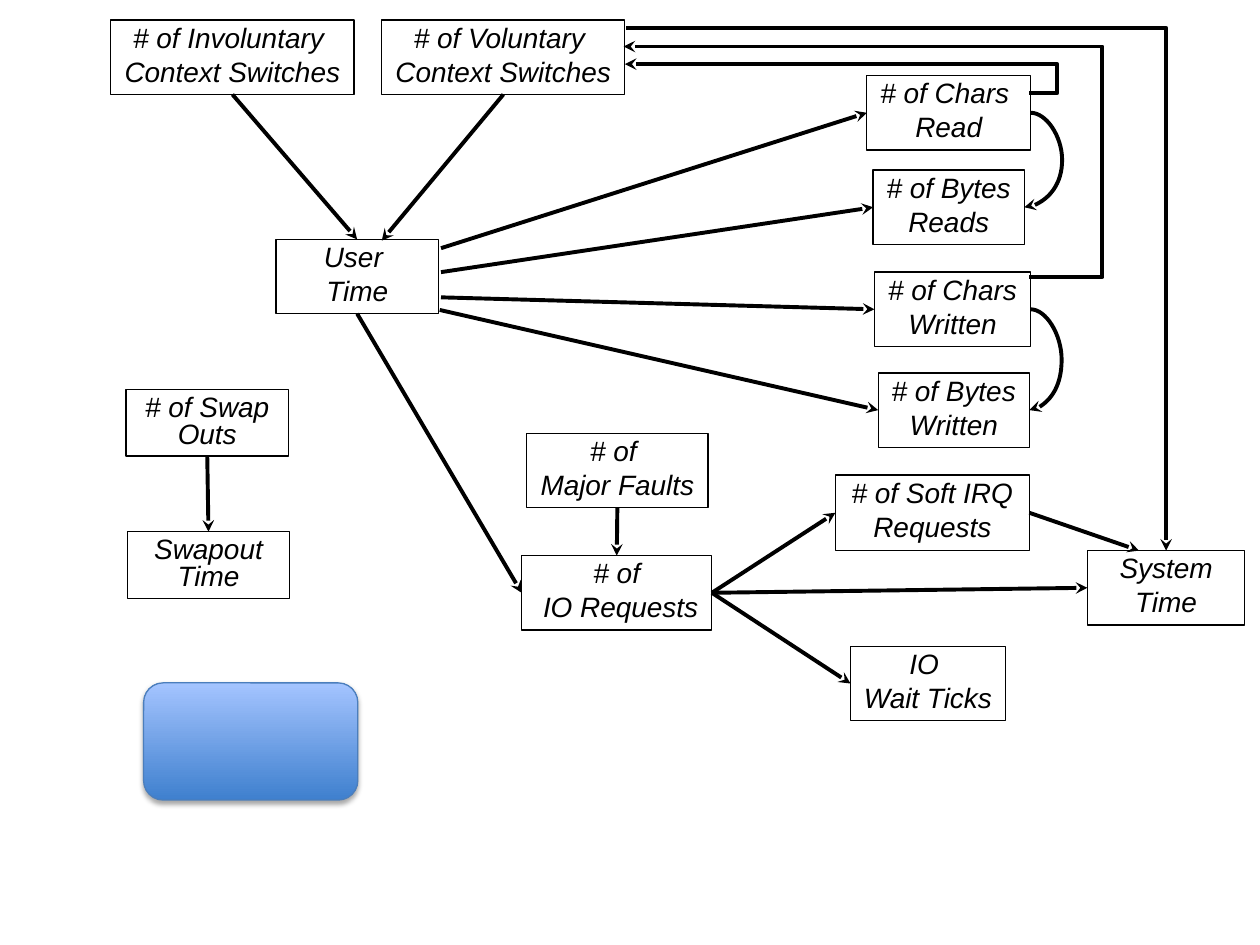
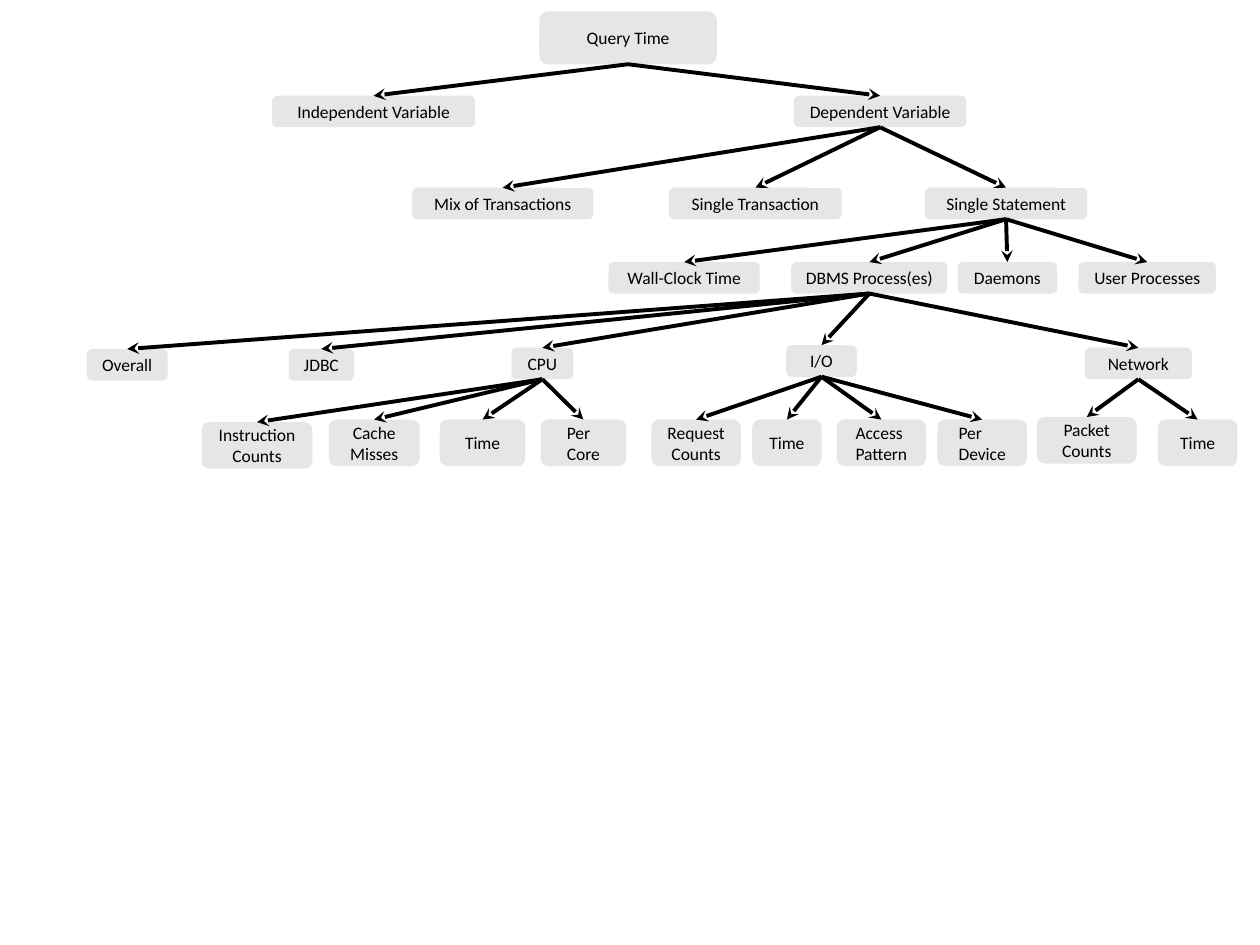
from lxml import etree
from pptx import Presentation
from pptx.dml.color import RGBColor
from pptx.enum.shapes import MSO_CONNECTOR, MSO_SHAPE
from pptx.enum.text import MSO_ANCHOR, PP_ALIGN
from pptx.oxml.ns import qn
from pptx.util import Inches, Pt

STRAIGHT, ELBOW, CURVE = MSO_CONNECTOR.STRAIGHT, MSO_CONNECTOR.ELBOW, MSO_CONNECTOR.CURVE
RECT, ROUNDED = MSO_SHAPE.RECTANGLE, MSO_SHAPE.ROUNDED_RECTANGLE
MIDDLE = MSO_ANCHOR.MIDDLE
CENTER, LEFT_ALIGN = PP_ALIGN.CENTER, PP_ALIGN.LEFT
TOP, LEFT, BOTTOM, RIGHT = range(4)

BLACK = RGBColor(0x00, 0x00, 0x00)
NODE_GREY = RGBColor(0xE6, 0xE6, 0xE6)
PANEL_DARK = RGBColor(0x3F, 0x80, 0xCE)
PANEL_LIGHT = RGBColor(0xA4, 0xC4, 0xFF)
PANEL_LINE = RGBColor(0x4B, 0x7E, 0xBC)

# Causal model: key -> (left, top, width, height, label lines)
METRICS = {
    "involuntary": (0.88, 0.16, 1.93, 0.59, ["# of Involuntary ", "Context Switches"]),
    "voluntary": (3.03, 0.16, 1.93, 0.59, ["# of Voluntary ", "Context Switches"]),
    "user": (2.19, 1.9, 1.29, 0.59, ["User ", "Time"]),
    "chars read": (6.88, 0.6, 1.3, 0.59, ["# of Chars ", "Read"]),
    "bytes read": (6.93, 1.35, 1.2, 0.59, ["# of Bytes", "Reads"]),
    "chars written": (6.94, 2.16, 1.24, 0.59, ["# of Chars", "Written"]),
    "bytes written": (6.97, 2.96, 1.2, 0.59, ["# of Bytes", "Written"]),
    "faults": (4.18, 3.44, 1.44, 0.59, ["# of ", "Major Faults"]),
    "io": (4.14, 4.41, 1.51, 0.59, ["# of", " IO Requests"]),
    "soft irq": (6.63, 3.77, 1.54, 0.6, ["# of Soft IRQ", "Requests"]),
    "wait": (6.75, 5.13, 1.23, 0.59, ["IO ", "Wait Ticks"]),
    "system": (8.63, 4.37, 1.25, 0.59, ["System", "Time"]),
    "swap outs": (1, 3.09, 1.29, 0.53, ["# of Swap Outs"]),
    "swapout time": (1.01, 4.22, 1.29, 0.53, ["Swapout Time"]),
}

# Each end is (metric, side) or a point (x, y)
EFFECTS = [
    (("involuntary", BOTTOM), ("user", TOP)),
    (("voluntary", BOTTOM), (3.03, 1.91)),
    ((3.5, 1.97), ("chars read", LEFT)),
    ((3.5, 2.16), ("bytes read", LEFT)),
    ((3.5, 2.36), ("chars written", LEFT)),
    ((3.49, 2.46), ("bytes written", LEFT)),
    (("user", BOTTOM), ("io", LEFT)),
    (("faults", BOTTOM), ("io", TOP)),
    (("io", RIGHT), ("soft irq", LEFT)),
    (("io", RIGHT), ("system", LEFT)),
    (("io", RIGHT), ("wait", LEFT)),
    (("soft irq", RIGHT), (9.04, 4.37)),
    (("swap outs", BOTTOM), ("swapout time", TOP)),
]

# (kind, begin, end, x of the turn); None means a single corner
ROUTED_EFFECTS = [
    (CURVE, ("chars read", RIGHT), ("bytes read", RIGHT), 8.43),
    (CURVE, ("chars written", RIGHT), ("bytes written", RIGHT), 8.43),
    (ELBOW, (8.17, 2.2), (4.95, 0.37), 8.75),
    (ELBOW, (8.17, 0.74), (4.96, 0.51), 8.39),
    (ELBOW, (4.97, 0.22), ("system", TOP), None),
]

PANEL = (1.14, 5.42, 1.7, 0.93)

# Taxonomy: (height, [(label lines, parent, left, top, width)]) per level
LEVELS = [
    (0.42, [(["Query Time"], None, 4.28, 0.09, 1.41)]),
    (0.25, [
        (["Independent Variable"], "Query Time", 2.16, 0.76, 1.61),
        (["Dependent Variable"], "Query Time", 6.3, 0.76, 1.37),
    ]),
    (0.25, [
        (["Mix of Transactions"], "Dependent Variable", 3.27, 1.49, 1.44),
        (["Single Transaction"], "Dependent Variable", 5.31, 1.49, 1.37),
        (["Single Statement"], "Dependent Variable", 7.34, 1.49, 1.29),
    ]),
    (0.25, [
        (["Wall-Clock Time"], "Single Statement", 4.83, 2.08, 1.2),
        (["DBMS Process(es)"], "Single Statement", 6.28, 2.08, 1.24),
        (["Daemons"], "Single Statement", 7.6, 2.08, 0.79),
        (["User Processes"], "Single Statement", 8.56, 2.08, 1.09),
    ]),
    (0.25, [
        (["Overall"], "DBMS Process(es)", 0.69, 2.77, 0.64),
        (["JDBC"], "DBMS Process(es)", 2.29, 2.77, 0.52),
        (["CPU"], "DBMS Process(es)", 4.06, 2.76, 0.49),
        (["I/O"], "DBMS Process(es)", 6.24, 2.74, 0.56),
        (["Network"], "DBMS Process(es)", 8.61, 2.76, 0.85),
    ]),
    (0.37, [
        (["Instruction", "Counts"], "CPU", 1.6, 3.35, 0.88),
        (["Cache", "Misses"], "CPU", 2.61, 3.33, 0.72),
        (["Time"], "CPU", 3.49, 3.33, 0.68),
        (["Per Core"], "CPU", 4.29, 3.33, 0.68),
        (["Request", "Counts"], "I/O", 5.17, 3.33, 0.71),
        (["Time"], "I/O", 5.97, 3.33, 0.55),
        (["Access Pattern"], "I/O", 6.64, 3.33, 0.71),
        (["Per", "Device"], "I/O", 7.44, 3.33, 0.71),
        (["Packet", "Counts"], "Network", 8.23, 3.31, 0.79),
        (["Time"], "Network", 9.19, 3.33, 0.63),
    ]),
]


def add_box(s, kind, box, lines, font, size):
    """Add an unfilled, unlined shape with one paragraph per line."""
    sp = s.shapes.add_shape(kind, *map(Inches, box))
    sp.shadow.inherit = False
    sp.fill.background()
    sp.line.fill.background()
    tf = sp.text_frame
    tf.text = "\n".join(lines)
    tf.vertical_anchor = MIDDLE
    tf.word_wrap = True
    for p in tf.paragraphs:
        p.alignment = CENTER
        p.font.name, p.font.size, p.font.color.rgb = font, Pt(size), BLACK
    return sp


def add_metric(s, box, lines):
    sp = add_box(s, RECT, box, lines, "Arial", 16)
    sp.line.color.rgb, sp.line.width = BLACK, Pt(0.75)
    tf = sp.text_frame
    tf.word_wrap = len(lines) == 1
    for i, p in enumerate(tf.paragraphs):
        p.font.italic = True
        p.line_spacing = 0.8
        p.space_before = Pt(4 if i else 0)
    return sp


def add_node(s, box, lines):
    sp = add_box(s, ROUNDED, box, lines, "Calibri", 10)
    sp.fill.solid()
    sp.fill.fore_color.rgb = NODE_GREY
    # Centre the text block as a whole, so that "Per / Device" keeps a left edge
    sp.text_frame._txBody.bodyPr.set("anchorCtr", "1")
    if lines[0].startswith(("Per", "Access")):
        for p in sp.text_frame.paragraphs:
            p.alignment = LEFT_ALIGN
    return sp


def locate(end, shapes):
    """Return the EMU point of an end given as (shape key, side) or (x, y)."""
    if not isinstance(end[0], str):
        return Inches(end[0]), Inches(end[1])
    sp, side = shapes[end[0]], end[1]
    fx, fy = [(0.5, 0), (0, 0.5), (0.5, 1), (1, 0.5)][side]
    return sp.left + int(sp.width * fx), sp.top + int(sp.height * fy)


def add_arrow(s, shapes, begin, end, kind=STRAIGHT):
    c = s.shapes.add_connector(kind, *locate(begin, shapes), *locate(end, shapes))
    if isinstance(begin[0], str):
        c.begin_connect(shapes[begin[0]], begin[1])
    if isinstance(end[0], str):
        c.end_connect(shapes[end[0]], end[1])
    c.line.color.rgb, c.line.width = BLACK, Pt(2.25)
    etree.SubElement(c.line._get_or_add_ln(), qn("a:tailEnd"), type="stealth")
    etree.SubElement(c._element.spPr, qn("a:effectLst"))
    return c


def route(c, turn_x):
    """Turn a bent or curved connector at turn_x, or at one corner if None."""
    geom = c._element.spPr.find(qn("a:prstGeom"))
    if turn_x is None:
        geom.set("prst", "bentConnector2")
        return
    share = (Inches(turn_x) - c.begin_x) / (c.end_x - c.begin_x)
    etree.SubElement(geom.find(qn("a:avLst")), qn("a:gd"),
                     name="adj1", fmla=f"val {round(share * 100000)}")


def add_panel(s):
    sp = s.shapes.add_shape(ROUNDED, *map(Inches, PANEL))
    sp.fill.gradient()
    sp.fill.gradient_angle = 90
    for stop, color in zip(sp.fill.gradient_stops, (PANEL_DARK, PANEL_LIGHT)):
        stop.color.rgb = color
    sp.line.color.rgb, sp.line.width = PANEL_LINE, Pt(0.75)
    sp.shadow.inherit = False
    shadow = etree.SubElement(sp._element.spPr.find(qn("a:effectLst")), qn("a:outerShdw"),
                              blurRad=str(Pt(3.1)), dist=str(Pt(1.8)),
                              dir="5400000", rotWithShape="0")
    color = etree.SubElement(shadow, qn("a:srgbClr"), val=str(BLACK))
    etree.SubElement(color, qn("a:alpha"), val="35000")


def build_causal_model(s):
    shapes = {key: add_metric(s, box, lines) for key, (*box, lines) in METRICS.items()}
    for begin, end in EFFECTS:
        add_arrow(s, shapes, begin, end)
    for kind, begin, end, turn_x in ROUTED_EFFECTS:
        route(add_arrow(s, shapes, begin, end, kind), turn_x)
    add_panel(s)


def build_taxonomy(s):
    shapes = {}
    for height, nodes in LEVELS:
        for lines, parent, left, top, width in nodes:
            key = " ".join(lines)
            shapes[key] = add_node(s, (left, top, width, height), lines)
            if parent:
                add_arrow(s, shapes, (parent, BOTTOM), (key, TOP))


def main():
    prs = Presentation()
    prs.slide_width, prs.slide_height = Inches(10), Inches(7.5)
    for build in (build_causal_model, build_taxonomy):
        build(prs.slides.add_slide(prs.slide_layouts[6]))
    prs.save("out.pptx")


if __name__ == "__main__":
    main()
